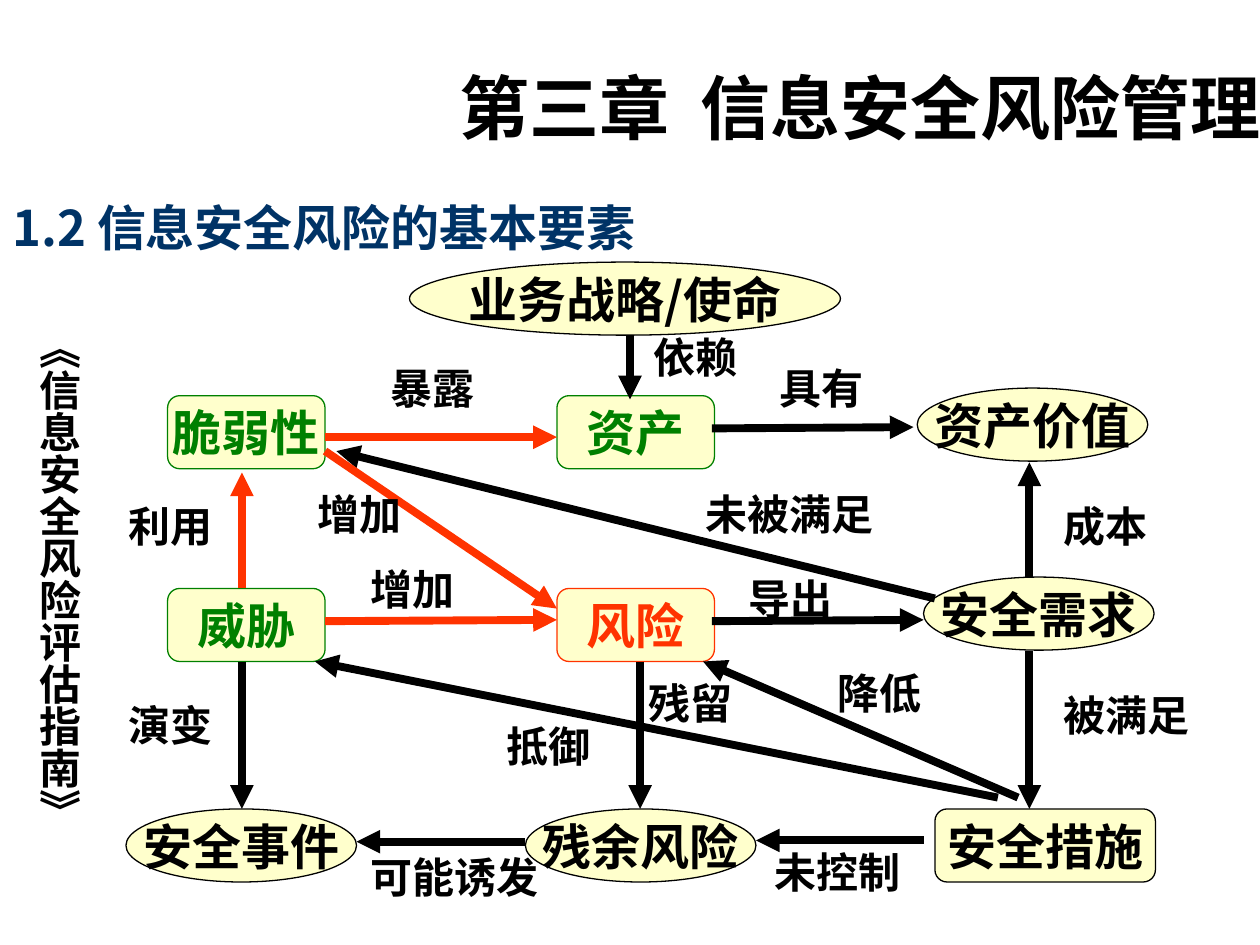
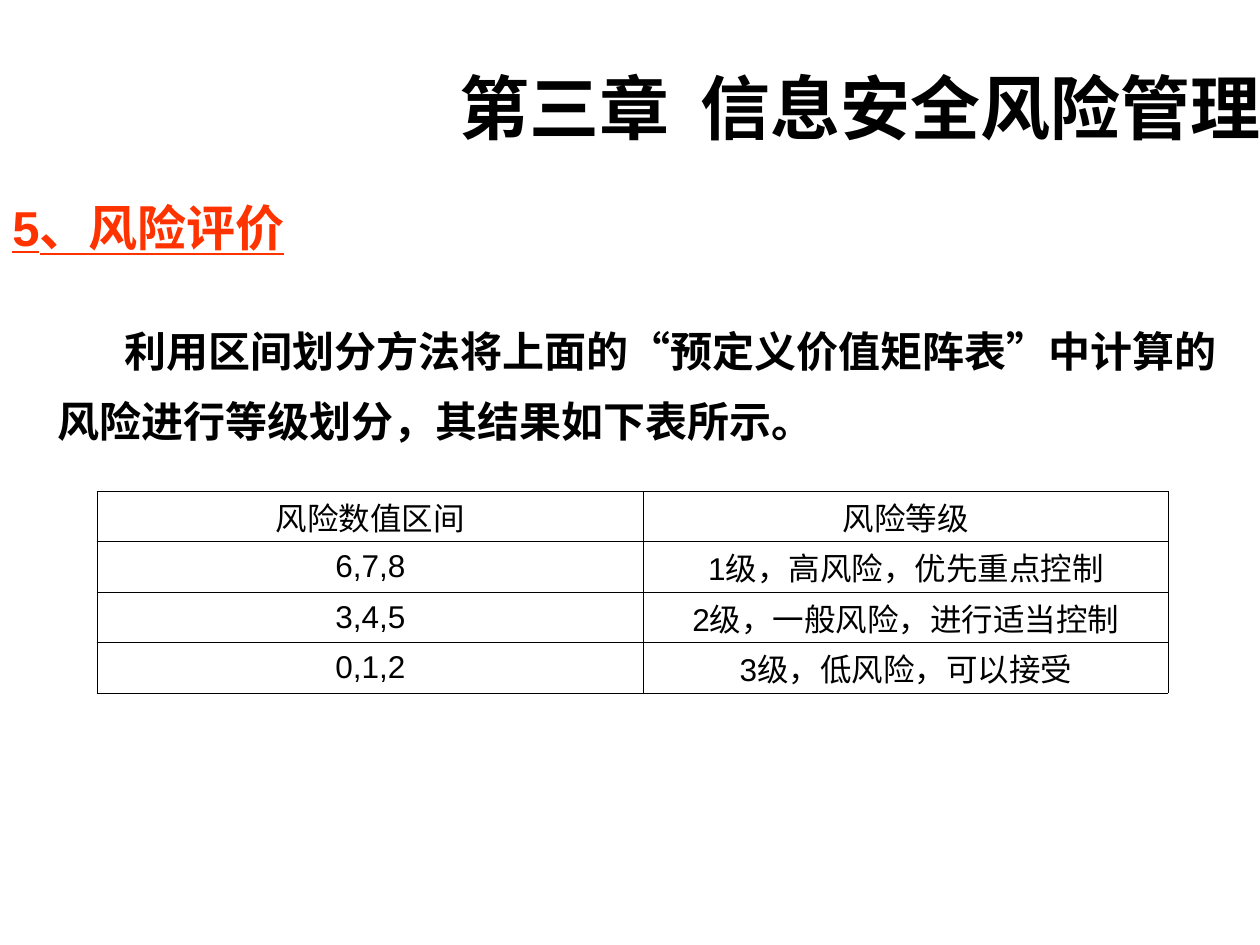
from lxml.etree import SubElement
from pptx import Presentation
from pptx.dml.color import RGBColor
from pptx.enum.shapes import MSO_CONNECTOR, MSO_SHAPE
from pptx.enum.text import MSO_ANCHOR, PP_ALIGN
from pptx.oxml.ns import qn
from pptx.util import Inches, Pt

BLACK = RGBColor(0x00, 0x00, 0x00)
GREEN = RGBColor(0x00, 0x80, 0x00)
RED = RGBColor(0xFF, 0x33, 0x00)
NAVY = RGBColor(0x00, 0x33, 0x66)
CREAM = RGBColor(0xFF, 0xFF, 0xCC)

SANS_SC = "Noto Sans CJK SC"
SANS_JP = "Noto Sans CJK JP"
ARIAL = "Arial"

ELLIPSE = MSO_SHAPE.OVAL
ROUNDED = MSO_SHAPE.FLOWCHART_ALTERNATE_PROCESS
NODE_HEIGHT = 0.58
LABEL_SIZE = 24

ELEMENTS = [
    ("业务战略/使命", ELLIPSE, 3.25, 2.08, 3.42, BLACK),
    ("脆弱性", ROUNDED, 1.33, 3.14, 1.25, GREEN),
    ("资产", ROUNDED, 4.42, 3.14, 1.25, GREEN),
    ("资产价值", ELLIPSE, 7.28, 3.08, 1.83, BLACK),
    ("威胁", ROUNDED, 1.33, 4.67, 1.25, GREEN),
    ("风险", ROUNDED, 4.42, 4.67, 1.25, RED),
    ("安全需求", ELLIPSE, 7.33, 4.58, 1.83, BLACK),
    ("安全事件", ELLIPSE, 1, 6.42, 1.83, BLACK),
    ("残余风险", ELLIPSE, 4.17, 6.42, 1.83, BLACK),
    ("安全措施", ROUNDED, 7.42, 6.42, 1.75, BLACK),
]

RELATIONS = [
    ("依赖", (5.09, 2.58), (5, 2.67), (5, 3.17), BLACK),
    ("具有", (6.09, 2.83), (5.65, 3.4), (7.25, 3.39), BLACK),
    ("成本", (8.34, 3.92), (8.17, 4.58), (8.17, 3.67), BLACK),
    ("未被满足", (5.5, 3.83), (7.42, 4.75), (2.67, 3.58), BLACK),
    ("暴露", (3, 2.83), (2.58, 3.47), (4.42, 3.47), RED),
    ("利用", (0.92, 3.92), (1.92, 4.67), (1.92, 3.75), RED),
    ("导出", (5.84, 4.5), (5.65, 4.93), (7.33, 4.92), BLACK),
    ("被满足", (8.34, 5.42), (8.17, 5.17), (8.17, 6.42), BLACK),
    ("降低", (6.55, 5.25), (8.08, 6.33), (5.58, 5.25), BLACK),
    ("抵御", (3.92, 5.67), (7.92, 6.33), (2.5, 5.25), BLACK),
    ("增加", (2.84, 4.42), (2.58, 4.93), (4.42, 4.92), RED),
    ("增加", (2.42, 3.83), (2.58, 3.58), (4.42, 4.83), RED),
    ("演变", (0.92, 5.5), (1.92, 5.25), (1.92, 6.42), BLACK),
    ("残留", (5.05, 5.33), (5.08, 5.25), (5.08, 6.42), BLACK),
    ("可能诱发", (2.84, 6.71), (4.17, 6.68), (2.83, 6.68), BLACK),
    ("未控制", (6.05, 6.67), (7.33, 6.67), (6, 6.67), BLACK),
]

RISK_LEVELS = [
    ("风险数值区间", "风险等级"),
    ("6,7,8", "1级，高风险，优先重点控制"),
    ("3,4,5", "2级，一般风险，进行适当控制"),
    ("0,1,2", "3级，低风险，可以接受"),
]


class Deck:
    def __init__(self):
        self.presentation = Presentation()
        self.presentation.slide_width = Inches(10)
        self.presentation.slide_height = Inches(7.5)
        self.slide = None

    def start_slide(self):
        blank = self.presentation.slide_layouts[6]
        self.slide = self.presentation.slides.add_slide(blank)
        self.title("第三章", "信息安全风险管理")

    def run(self, paragraph, text, size, color=BLACK, face=SANS_JP, bold=True):
        run = paragraph.add_run()
        run.text = text
        font = run.font
        font.size, font.bold, font.name = Pt(size), bold, face
        font.color.rgb = color
        east_asian = SANS_SC if face == ARIAL else face
        SubElement(run._r.get_or_add_rPr(), qn("a:ea")).set("typeface", east_asian)
        return run

    def text_box(self, left, top, width, height, wrap=True, anchor=MSO_ANCHOR.TOP):
        box = self.slide.shapes.add_textbox(
            Inches(left), Inches(top), Inches(width), Inches(height))
        frame = box.text_frame
        frame.word_wrap = wrap
        frame.vertical_anchor = anchor
        return frame

    def title(self, chapter, subject):
        frame = self.text_box(1.58, 0.58, 8.42, 0.53, anchor=MSO_ANCHOR.MIDDLE)
        frame.margin_left = frame.margin_right = 0
        frame.margin_top = frame.margin_bottom = 0
        paragraph = frame.paragraphs[0]
        paragraph.alignment = PP_ALIGN.RIGHT
        self.run(paragraph, chapter, 40, face=SANS_SC)
        gap = self.run(paragraph, " ", 40, face=SANS_SC)
        gap._r.get_or_add_rPr().set("spc", "900")
        self.run(paragraph, subject, 40, face=SANS_SC)

    def heading(self, text, color, face=SANS_SC, underline=False):
        frame = self.text_box(0, 1.52, 10, 0.57)
        run = self.run(frame.paragraphs[0], text, 28, color, face)
        run.font.underline = underline

    def node(self, text, outline, left, top, width, color):
        node = self.slide.shapes.add_shape(
            outline, Inches(left), Inches(top), Inches(width), Inches(NODE_HEIGHT))
        node.shadow.inherit = False
        node.fill.solid()
        node.fill.fore_color.rgb = CREAM
        node.line.color.rgb = color
        node.line.width = Pt(0.75)
        frame = node.text_frame
        frame.word_wrap = False
        frame.vertical_anchor = MSO_ANCHOR.MIDDLE
        paragraph = frame.paragraphs[0]
        paragraph.alignment = PP_ALIGN.CENTER
        self.run(paragraph, text, 28, color)

    def arrow(self, start, end, color):
        arrow = self.slide.shapes.add_connector(
            MSO_CONNECTOR.STRAIGHT, *map(Inches, start + end))
        arrow.line.color.rgb = color
        arrow.line.width = Pt(4.5)
        SubElement(arrow.line._get_or_add_ln(), qn("a:tailEnd")).set("type", "triangle")
        SubElement(arrow._element.spPr, qn("a:effectLst"))

    def label(self, text, left, top):
        width = 0.2 + len(text) * LABEL_SIZE / 72
        frame = self.text_box(left, top, width, 0.5, wrap=False)
        self.run(frame.paragraphs[0], text, LABEL_SIZE)

    def vertical_caption(self, text, left, top, width, height):
        frame = self.text_box(left, top, width, height, anchor=MSO_ANCHOR.MIDDLE)
        frame.margin_left = frame.margin_right = Inches(0.05)
        frame.margin_top = frame.margin_bottom = Inches(0.1)
        frame._txBody.bodyPr.set("vert", "eaVert")
        paragraph = frame.paragraphs[0]
        paragraph.alignment = PP_ALIGN.CENTER
        self.run(paragraph, text, LABEL_SIZE)

    def body(self, text, left, top, width, height):
        frame = self.text_box(left, top, width, height, anchor=MSO_ANCHOR.MIDDLE)
        paragraph = frame.paragraphs[0]
        paragraph.line_spacing = 1.4
        paragraph._p.get_or_add_pPr().set("indent", str(Inches(0.53)))
        self.run(paragraph, text, 24)

    def table(self, rows, left, top, column_widths, row_height):
        table = self.slide.shapes.add_table(
            len(rows), len(column_widths), Inches(left), Inches(top),
            Inches(sum(column_widths)), Inches(row_height * len(rows))).table
        table.first_row = table.horz_banding = False
        for column, width in zip(table.columns, column_widths):
            column.width = Inches(width)
        for row, texts in zip(table.rows, rows):
            row.height = Inches(row_height)
            for cell, text in zip(row.cells, texts):
                self.cell(cell, text)

    def cell(self, cell, text):
        cell.margin_left = cell.margin_right = 0
        cell.margin_top = cell.margin_bottom = 0
        cell.vertical_anchor = MSO_ANCHOR.MIDDLE
        properties = cell._tc.get_or_add_tcPr()
        for side in ("lnL", "lnR", "lnT", "lnB"):
            border = SubElement(properties, qn(f"a:{side}"))
            border.set("w", str(Pt(0.45)))
            fill = SubElement(border, qn("a:solidFill"))
            SubElement(fill, qn("a:srgbClr")).set("val", str(BLACK))
        cell.fill.background()
        paragraph = cell.text_frame.paragraphs[0]
        paragraph.alignment = PP_ALIGN.CENTER
        self.run(paragraph, text, 18, face=ARIAL, bold=False)


def risk_elements(deck):
    deck.start_slide()
    deck.heading("1.2 信息安全风险的基本要素", NAVY)
    deck.vertical_caption("《信息安全风险评估指南》", 0.17, 2.5, 0.6, 4.68)
    for element in ELEMENTS:
        deck.node(*element)
    for name, position, start, end, color in RELATIONS:
        deck.arrow(start, end, color)
        deck.label(name, *position)


def risk_evaluation(deck):
    deck.start_slide()
    deck.heading("5、风险评价", RED, ARIAL, underline=True)
    deck.body("利用区间划分方法将上面的“预定义价值矩阵表”中计算的风险进行等级划分，"
              "其结果如下表所示。", 0.36, 2.37, 9.64, 1.22)
    deck.table(RISK_LEVELS, 0.77, 3.9, (4.34, 4.16), 0.4)


def main():
    deck = Deck()
    risk_elements(deck)
    risk_evaluation(deck)
    deck.presentation.save("out.pptx")


if __name__ == "__main__":
    main()
